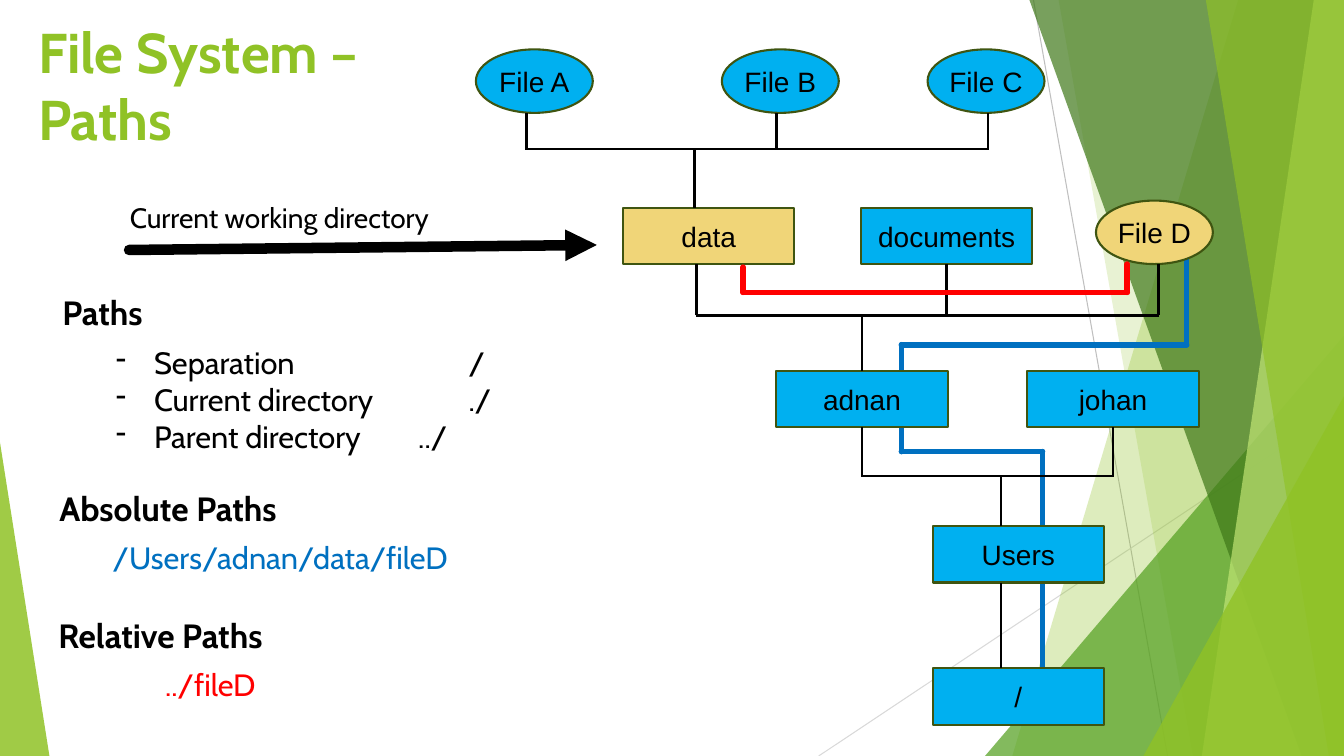
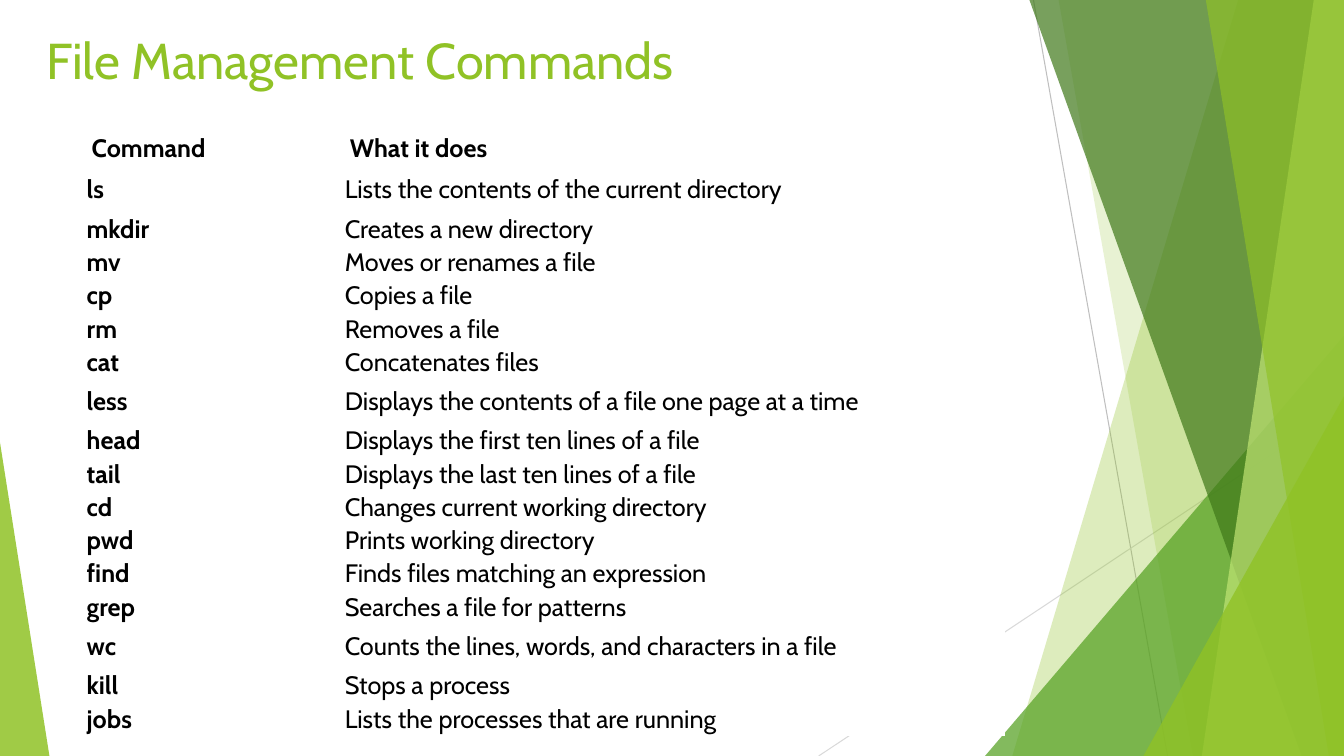
from dataclasses import dataclass

from lxml import etree
from pptx import Presentation
from pptx.dml.color import RGBColor
from pptx.enum.shapes import MSO_CONNECTOR as CONN, MSO_SHAPE as SHAPE
from pptx.enum.text import MSO_ANCHOR as ANCHOR, PP_ALIGN as ALIGN
from pptx.oxml.ns import qn
from pptx.util import Inches, Pt


@dataclass(frozen=True)
class Theme:
    """Colours, fonts and type sizes of the deck."""
    green: str = "90C226"
    mid_green: str = "54A021"
    dark_green: str = "3F7819"
    pale_green: str = "C0E474"
    outline: str = "3F5511"
    node: str = "00B0F0"
    marked: str = "F0D578"
    absolute: str = "0070C0"
    relative: str = "FF0000"
    black: str = "000000"
    white: str = "FFFFFF"
    grey: str = "BFBFBF"
    light_grey: str = "D9D9D9"
    font: str = "Cabin"
    node_font: str = "Arial"
    title: int = 40
    small_title: int = 36
    heading: int = 24
    body: int = 22
    label: int = 20
    table: int = 18


@dataclass(frozen=True)
class Box:
    """A region in inches whose parts are placed from its top left."""
    x: float
    y: float
    w: float
    h: float

    def at(self, x, y):
        """Turn a place in the box into slide lengths."""
        return Inches(self.x + x), Inches(self.y + y)

    def inner(self, x, y, w, h):
        """Return a smaller box inside this one."""
        return Box(self.x + x, self.y + y, w, h)

    def frame(self):
        """Return left, top, width and height as lengths."""
        return (*self.at(0, 0), Inches(self.w), Inches(self.h))


T = Theme()
PAGE = Box(0, 0, 13.33, 7.5)


def rgb(c):
    """Make a colour from its hex digits."""
    return RGBColor.from_string(c)


def write(p, text, size=T.body, color=T.black, font=T.font, bold=False, align=None, bullet=None):
    """Fill a paragraph with formatted text."""
    if bullet:
        pPr = p._p.get_or_add_pPr()
        pPr.set("marL", str(Inches(0.38)))
        pPr.set("indent", str(-Inches(0.38)))
        etree.SubElement(pPr, qn("a:buChar")).set("char", bullet)
    if align is not None:
        p.alignment = align
    p.text = text
    for r in p.runs:
        r.font.size, r.font.name, r.font.bold = Pt(size), font, bold
        r.font.color.rgb = rgb(color)


def add_text(s, box, lines, **fmt):
    """Add a text box with one paragraph for each line."""
    tf = s.shapes.add_textbox(*box.frame()).text_frame
    tf.word_wrap = True
    for i, text in enumerate(lines):
        write(tf.add_paragraph() if i else tf.paragraphs[0], text, **fmt)


def add_line(s, box, x1, y1, x2, y2, color=T.black, width=1.75, cap=None, arrow=False):
    """Draw a straight connector between two places in a box."""
    ln = s.shapes.add_connector(CONN.STRAIGHT, *box.at(x1, y1), *box.at(x2, y2))
    ln.line.color.rgb, ln.line.width = rgb(color), Pt(width)
    xml = ln.line._get_or_add_ln()
    if cap:
        xml.set("cap", cap)
    if arrow:
        etree.SubElement(xml, qn("a:tailEnd")).set("type", "triangle")
    etree.SubElement(ln._element.spPr, qn("a:effectLst"))
    return ln


def add_route(s, box, points, color):
    """Draw a thick path through the given points."""
    for start, end in zip(points, points[1:]):
        add_line(s, box, *start, *end, color=color, width=4, cap="rnd")


def paint(sp, color, opacity):
    """Give a shape a see-through fill without outline or shadow."""
    sp.shadow.inherit = False
    sp.fill.solid()
    sp.fill.fore_color.rgb = rgb(color)
    sp.line.fill.background()
    clr = sp._element.spPr.find(qn("a:solidFill"))[0]
    etree.SubElement(clr, qn("a:alpha")).set("val", str(opacity * 1000))


def add_band(s, box, top, bottom, color, opacity):
    """Draw a band from a slanted left edge to the right of the box."""
    fb = s.shapes.build_freeform(*box.at(top, 0))
    fb.add_line_segments([box.at(box.w, 0), box.at(box.w, box.h), box.at(bottom, box.h)])
    paint(fb.convert_to_shape(), color, opacity)


def add_corner(s, box, width, height, tip, color, opacity):
    """Draw a right triangle in a lower corner, its tip on side 0 or 1."""
    spot = box.inner(tip * (box.w - width), box.h - height, width, height)
    sp = s.shapes.add_shape(SHAPE.ISOSCELES_TRIANGLE, *spot.frame())
    sp.adjustments[0] = tip
    paint(sp, color, opacity)


def add_backdrop(s, box):
    """Draw the green facets shared by all slides."""
    add_line(s, box, 10.25, 0, 11.58, box.h, color=T.grey, width=0.75)
    add_line(s, box, box.w, 4.03, 8.12, box.h, color=T.light_grey, width=0.75)
    add_band(s, box, 12.28, 10.04, T.green, 30)
    add_band(s, box, 10.5, 11.83, T.green, 20)
    add_corner(s, box, 3.56, 4.17, 1, T.mid_green, 72)
    add_band(s, box, 10.21, 12.91, T.dark_green, 70)
    add_band(s, box, 13.03, 11.92, T.pale_green, 70)
    add_band(s, box, 11.96, 13.18, T.green, 65)
    add_corner(s, box, 1.99, 3.57, 1, T.green, 80)
    add_corner(s, box, 0.49, 3.11, 0, T.green, 85)


def new_slide(prs, title, box, size, bold=False):
    """Start a slide with the backdrop and a title."""
    s = prs.slides.add_slide(prs.slide_layouts[6])
    add_backdrop(s, PAGE)
    add_text(s, box, [title], size=size, color=T.green, bold=bold)
    return s


def add_node(s, box, name, x, y, color):
    """Draw a file as an ellipse or a directory as a rectangle."""
    is_file = name.startswith("File")
    kind, w, h = (SHAPE.OVAL, 1.16, 0.63) if is_file else (SHAPE.RECTANGLE, 1.7, 0.56)
    sp = s.shapes.add_shape(kind, *box.inner(x, y, w, h).frame())
    sp.shadow.inherit = False
    sp.fill.solid()
    sp.fill.fore_color.rgb = rgb(color)
    sp.line.color.rgb, sp.line.width = rgb(T.outline), Pt(1.5)
    tf = sp.text_frame
    tf.margin_left = tf.margin_right = tf.margin_top = tf.margin_bottom = 0
    tf.vertical_anchor, tf.word_wrap = ANCHOR.MIDDLE, False
    write(tf.paragraphs[0], name, size=T.label, font=T.node_font, align=ALIGN.CENTER)
    return sp


def add_tree(s, box):
    """Draw the directory tree with the absolute and relative routes."""
    add_route(s, box, [(7.07, 2.1), (7.07, 3.02), (4.24, 3.02), (4.24, 4.08),
                       (5.64, 4.08), (5.64, 6.25)], T.absolute)
    spots = {"File A": (0.02, 0.09), "File B": (2.46, 0.09), "File C": (4.5, 0.09),
             "data": (1.48, 1.66), "documents": (3.84, 1.66), "File D": (6.17, 1.59),
             "adnan": (3, 3.28), "johan": (5.49, 3.28), "Users": (4.55, 4.82), "/": (4.55, 6.23)}
    nodes = {name: add_node(s, box, name, x, y, T.marked if name in ("data", "File D") else T.node)
             for name, (x, y) in spots.items()}
    files_bar, home_bar, users_bar = 1.08, 2.73, 4.32
    for x in (0.52, 3, 5.1):
        add_line(s, box, x, files_bar, x, 0.72)
    for x in (2.21, 6.79):
        add_line(s, box, x, home_bar, x, 2.22)
    add_line(s, box, 0.51, files_bar, 5.11, files_bar)
    add_line(s, box, 2.2, home_bar, 6.8, home_bar)
    add_line(s, box, 3.84, users_bar, 6.35, users_bar)
    add_line(s, box, 2.19, files_bar, 2.19, 1.66)
    add_line(s, box, 5.23, users_bar, 5.23, 4.82)
    add_line(s, box, 5.23, 5.38, 5.23, 6.23)
    for name, side, bar in (("documents", 2, home_bar), ("adnan", 0, home_bar),
                            ("adnan", 2, users_bar), ("johan", 2, users_bar)):
        x, y = spots[name]
        mid = x + 0.85
        add_line(s, box, mid, bar, mid, y).end_connect(nodes[name], side)
    add_route(s, box, [(2.67, 2.25), (2.67, 2.5), (6.48, 2.5), (6.48, 2.22)], T.relative)


def add_pointer(s, box):
    """Draw the labelled arrow to the working directory."""
    add_text(s, box.inner(0, 0, 3.45, 0.44), ["Current working directory"], size=T.label)
    add_line(s, box, 0.09, 0.54, box.w, 0.49, width=7.5, cap="rnd", arrow=True)


def add_topic(s, box, heading, lines, indent=0.53, **fmt):
    """Write a bold heading with its lines below."""
    add_text(s, box.inner(0, 0, 3, 0.5), [heading], size=T.heading, bold=True)
    add_text(s, box.inner(indent, 0.51, 4.64, box.h - 0.51), lines, **fmt)


def add_commands(s, box, rows):
    """Place the command table, with taller rows for some commands."""
    tall = ("ls", "less", "wc")
    tbl = s.shapes.add_table(len(rows), 2, *box.frame()).table
    tbl.first_row = tbl.horz_banding = False
    tbl.columns[0].width, tbl.columns[1].width = Inches(2.56), Inches(box.w - 2.56)
    for i, row in enumerate(rows):
        tbl.rows[i].height = Inches(0.37 if i == 0 else 0.45 if row[0] in tall else 0.33)
        for j, text in enumerate(row):
            cell = tbl.cell(i, j)
            cell.fill.solid()
            cell.fill.fore_color.rgb = rgb(T.white)
            cell.vertical_anchor = ANCHOR.MIDDLE
            cell.margin_left = cell.margin_right = Inches(0.01 if i else 0.06)
            cell.margin_top = cell.margin_bottom = Inches(0.01 if i else 0.03)
            write(cell.text_frame.paragraphs[0], text, size=T.table, bold=i == 0 or j == 0)


def paths_slide(prs):
    """Build the slide on absolute and relative paths."""
    s = new_slide(prs, "File System –\vPaths", Box(0.28, 0.12, 4.02, 1.36), T.title, bold=True)
    add_tree(s, Box(4.7, 0.4, 7.4, 6.8))
    add_pointer(s, Box(1.19, 1.94, 4.73, 0.6))
    add_topic(s, Box(0.52, 2.85, 5.2, 1.72), "Paths",
              ["Separation\t\t\t\t/", "Current directory\t\t./", "Parent directory\t\t../"], bullet="-")
    add_topic(s, Box(0.49, 4.79, 5.2, 0.98), "Absolute Paths", ["/Users/adnan/data/fileD"],
              color=T.absolute)
    add_topic(s, Box(0.48, 6.05, 5.2, 0.98), "Relative Paths", ["../fileD"], indent=1.06,
              color=T.relative)


def commands_slide(prs):
    """Build the slide with the command table."""
    s = new_slide(prs, "File Management Commands", Box(0.36, 0.24, 9.4, 1), T.small_title)
    add_commands(s, Box(0.85, 1.29, 9.11, 6), [
        ("Command", "What it does"),
        ("ls", "Lists the contents of the current directory"),
        ("mkdir", "Creates a new directory"),
        ("mv", "Moves or renames a file"),
        ("cp", "Copies a file"),
        ("rm", "Removes a file"),
        ("cat", "Concatenates files"),
        ("less", "Displays the contents of a file one page at a time"),
        ("head", "Displays the first ten lines of a file"),
        ("tail", "Displays the last ten lines of a file"),
        ("cd", "Changes current working directory"),
        ("pwd", "Prints working directory"),
        ("find", "Finds files matching an expression"),
        ("grep", "Searches a file for patterns"),
        ("wc", "Counts the lines, words, and characters in a file"),
        ("kill", "Stops a process"),
        ("jobs", "Lists the processes that are running"),
    ])


def main():
    """Build and save the deck."""
    prs = Presentation()
    prs.slide_width, prs.slide_height = Inches(PAGE.w), Inches(PAGE.h)
    paths_slide(prs)
    commands_slide(prs)
    prs.save("out.pptx")


if __name__ == "__main__":
    main()
